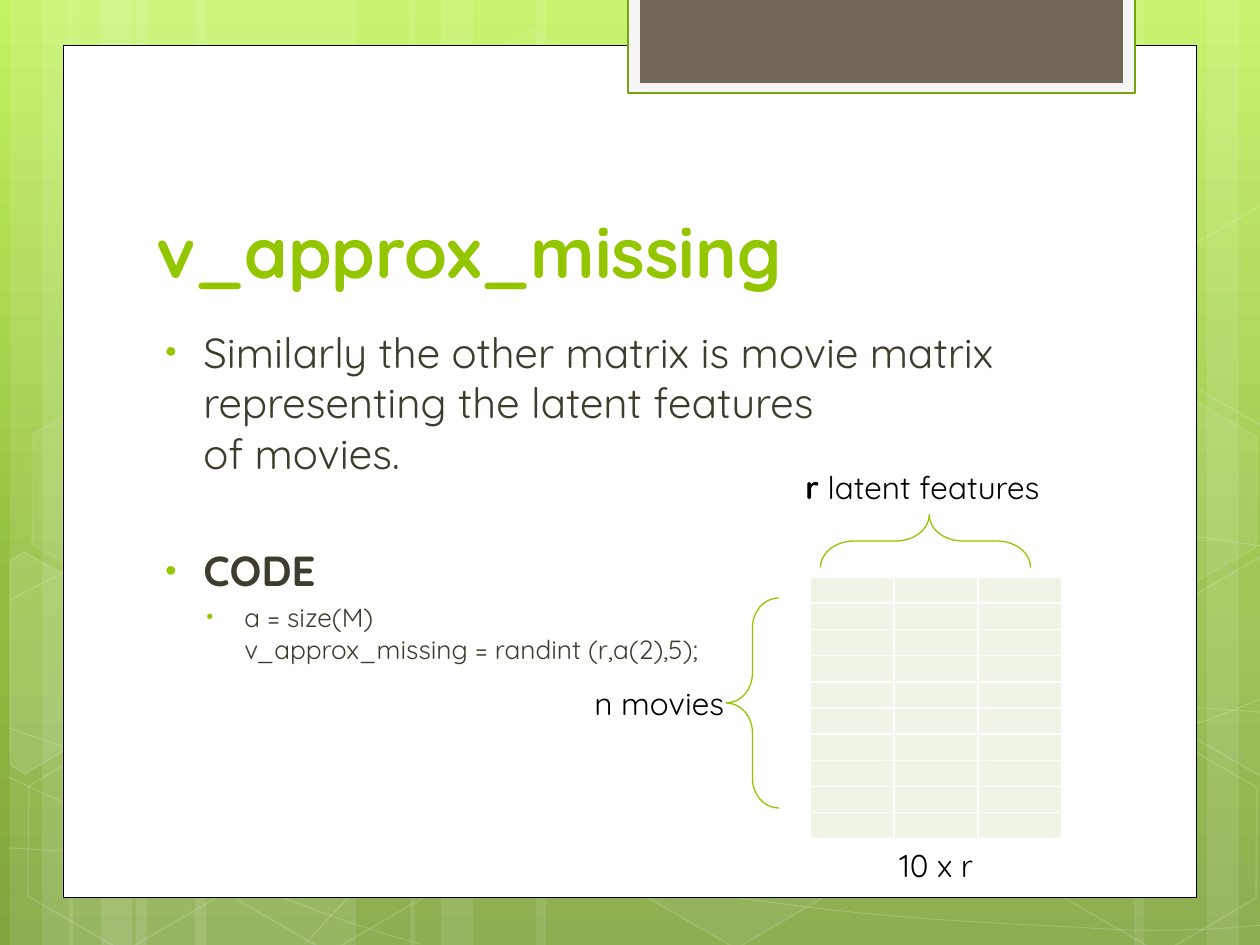
import math

from lxml import etree
from pptx import Presentation
from pptx import util as u
from pptx.dml.color import RGBColor
from pptx.enum import shapes, text
from pptx.oxml.ns import qn

PX = 914400 / 126
WHITE, GREEN, INK, BLACK = "FFFFFF", "94C600", "3E3D2D", "000000"
SHAPE = shapes.MSO_SHAPE


def px(length):
    return u.Emu(round(length * PX))


def color(value):
    return RGBColor.from_string(value)


def add_xml(parent, tag, **attributes):
    return etree.SubElement(parent, qn(tag), attributes)


def paint(fill, value, alpha=100):
    """Fill solidly, alpha being the opacity in percent; None means no fill."""
    if value is None:
        fill.background()
        return
    fill.solid()
    fill.fore_color.rgb = color(value)
    if alpha < 100:
        solid = fill._xPr.find(qn("a:solidFill"))
        add_xml(solid[0], "a:alpha", val=str(alpha * 1000))


def rotate(points, center, degrees):
    cos, sin = math.cos(math.radians(degrees)), math.sin(math.radians(degrees))
    cx, cy = center
    return [(cx + (x - cx) * cos - (y - cy) * sin, cy + (x - cx) * sin + (y - cy) * cos)
            for x, y in points]


def bend(shape):
    """Turn each three line segments of a freeform into one cubic curve."""
    outline = next(shape._element.iter(qn("a:path")))
    lines = outline.findall(qn("a:lnTo"))
    for i in range(0, len(lines), 3):
        curve = add_xml(outline, "a:cubicBezTo")
        for line in lines[i:i + 3]:
            curve.append(line[0])
            outline.remove(line)


class SlideBuilder:
    font = "Quicksand"

    def __init__(self, slide):
        self.slide = slide

    def background(self, stops):
        fill = self.slide.background.fill
        fill.gradient()
        fill.gradient_angle = 270
        stop_list = fill._fill._gradFill.find(qn("a:gsLst"))
        for old in list(stop_list):
            stop_list.remove(old)
        for position, value in stops:
            stop = add_xml(stop_list, "a:gs", pos=str(position * 1000))
            add_xml(stop, "a:srgbClr", val=value)

    def style(self, shape, fill, fill_alpha, line, width, line_alpha):
        shape.shadow.inherit = False
        paint(shape.fill, fill, fill_alpha)
        paint(shape.line.fill, line, line_alpha)
        if line:
            shape.line.width = u.Pt(width)

    def shape(self, kind, box, fill=None, fill_alpha=100, line=None, width=1,
              line_alpha=100, rotation=0, adjust=()):
        shape = self.slide.shapes.add_shape(kind, *map(px, box))
        shape.rotation = rotation
        for i, value in enumerate(adjust):
            shape.adjustments[i] = value
        self.style(shape, fill, fill_alpha, line, width, line_alpha)

    def freeform(self, points, closed):
        tenths = [(x * 10, y * 10) for x, y in points]
        builder = self.slide.shapes.build_freeform(*tenths[0], scale=PX / 10)
        builder.add_line_segments(tenths[1:], close=closed)
        return builder.convert_to_shape()

    def curve(self, points):
        """Draw cubic curves: a start, then three points for each curve."""
        shape = self.freeform(points, closed=False)
        bend(shape)
        self.style(shape, None, 0, WHITE, 0.5, 20)

    def tilted_polygon(self, points, center, fill, fill_alpha):
        shape = self.freeform(rotate(points, center, -30), closed=True)
        shape.rotation = 30
        self.style(shape, fill, fill_alpha, WHITE, 1, 12)

    def text_frame(self, box, wrap=True):
        frame = self.slide.shapes.add_textbox(*map(px, box)).text_frame
        frame.word_wrap = wrap
        return frame

    def run(self, paragraph, words, size, value, bold=False):
        run = paragraph.add_run()
        run.text = words
        run.font.name = self.font
        run.font.size = u.Pt(size)
        run.font.bold = bold
        run.font.color.rgb = color(value)

    def label(self, box, *runs):
        frame = self.text_frame(box, wrap=False)
        frame.auto_size = text.MSO_AUTO_SIZE.SHAPE_TO_FIT_TEXT
        for words, bold in runs:
            self.run(frame.paragraphs[0], words, 18, BLACK, bold)

    def bullet(self, paragraph, lines, size, pitch, before=0, left=47, bold=False):
        paragraph.space_before = u.Pt(before)
        paragraph.line_spacing = u.Pt(pitch)
        properties = paragraph._p.get_or_add_pPr()
        properties.set("marL", str(px(left)))
        properties.set("indent", str(px(-38)))
        add_xml(add_xml(properties, "a:buClr"), "a:srgbClr", val=GREEN)
        add_xml(properties, "a:buSzPct", val="76000")
        add_xml(properties, "a:buFont", typeface="Arial")
        add_xml(properties, "a:buChar", char="•")
        for i, line in enumerate(lines):
            if i:
                paragraph.add_line_break()
            self.run(paragraph, line, size, INK, bold)

    def empty_table(self, rows, columns, box, fill):
        table = self.slide.shapes.add_table(rows, columns, *map(px, box)).table
        table.first_row = table.horz_banding = False
        for cell in table.iter_cells():
            cell.margin_left = cell.margin_right = 0
            cell.margin_top = cell.margin_bottom = 0
            add_xml(cell.text_frame.paragraphs[0]._p, "a:endParaRPr", sz="800")
            properties = cell._tc.get_or_add_tcPr()
            for side in ("a:lnL", "a:lnR", "a:lnT", "a:lnB"):
                border = add_xml(properties, side, w=str(u.Pt(1)))
                add_xml(add_xml(border, "a:solidFill"), "a:srgbClr", val=WHITE)
            paint(cell.fill, fill)


def draw_backdrop(builder):
    builder.background([(0, "C3F35F"), (62, "93BF3F"), (100, "81A53E")])
    stripes = [(136, 220, 0), (10, 63, 0), (42, 105, 0), (195, 220, 0), (69, 63, 0),
               (101, 105, 0), (924, 220, 180), (1207, 63, 180), (1134, 105, 180),
               (536, 388, 0), (410, 63, 0), (441, 105, 0)]
    for left, width, rotation in stripes:
        builder.shape(SHAPE.RECTANGLE, (left, 0, width, 945), WHITE, 10, rotation=rotation)

    curves = [
        [(9, 848), (77, 852), (145, 856), (239, 854), (334, 853), (451, 851), (577, 838),
         (703, 825), (882, 801), (998, 777), (1113, 753), (1231, 716), (1269, 694)],
        [(9, 601), (45, 581), (82, 562), (152, 543), (224, 524), (326, 496), (437, 488),
         (549, 479), (685, 478), (824, 488), (963, 498), (1193, 537), (1269, 547)],
        [(8, 777), (160, 847), (311, 916), (421, 944)],
        [(9, 728), (48, 742), (88, 756), (161, 776), (234, 795), (344, 827), (450, 848),
         (554, 869), (687, 892), (791, 905), (896, 919), (1008, 924), (1075, 927),
         (1140, 932), (1158, 930), (1191, 930), (1223, 929), (1246, 926), (1269, 925)],
        [(305, 944), (328, 919), (350, 893), (381, 871), (411, 848), (454, 823), (489, 805),
         (524, 788), (546, 780), (592, 767), (638, 754), (722, 737), (766, 728),
         (811, 719), (818, 719), (857, 717), (896, 713), (958, 709), (1000, 708),
         (1045, 707), (1116, 708), (1116, 708), (1144, 708), (1172, 708), (1201, 708),
         (1223, 709), (1245, 711), (1256, 712), (1268, 713), (1264, 712), (1268, 713)],
    ]
    for curve in curves:
        builder.curve(curve)

    def hexagons(*rows):
        for left, top, fill_alpha, line_alpha in rows:
            builder.shape(SHAPE.HEXAGON, (left, top, 220, 192), WHITE if fill_alpha else None,
                          fill_alpha, WHITE, 1, line_alpha, rotation=30, adjust=[0.285])

    left_part = [(10, 561), (24, 552), (121, 607), (120, 718), (25, 774), (10, 765)]
    right_part = [(1167, 611), (1261, 556), (1271, 562), (1271, 772), (1263, 777), (1167, 722)]
    upper_part = [(x, y - 351) for x, y in right_part]

    hexagons((421, 45, 4, 8), (626, 742, 6, 12))
    builder.tilted_polygon(left_part, (45, 674), WHITE, 10)
    hexagons((14, 745, 0, 12), (18, 393, 7, 8), (219, 746, 0, 12),
             (949, 571, 10, 12), (1051, 747, 0, 12), (1051, 396, 7, 8))
    builder.tilted_polygon(right_part, (1241, 655), WHITE, 4)
    builder.tilted_polygon(upper_part, (1241, 304), None, 0)

    builder.shape(SHAPE.RECTANGLE, (63, 45, 1134, 853), WHITE, line=BLACK, width=0.5)
    builder.shape(SHAPE.RECTANGLE, (628, -2, 507, 95), "F5F5F5", line="74A510", width=1.25)
    builder.shape(SHAPE.RECTANGLE, (640, -2, 483, 85), "71685A")


def draw_text(builder):
    title = builder.text_frame((144, 141, 968, 158))
    title.vertical_anchor = text.MSO_ANCHOR.BOTTOM
    builder.run(title.paragraphs[0], "v_approx_missing", 40, GREEN, True)

    body = builder.text_frame((144, 320, 934, 484))
    builder.bullet(body.paragraphs[0], ["Similarly the other matrix is movie matrix",
                                        "representing the latent features", "of movies."], 24, 28.8)
    builder.bullet(body.add_paragraph(), ["CODE"], 24, 28.8, before=38.6, bold=True)
    code = body.add_paragraph()
    code.level = 1
    builder.bullet(code, ["a = size(M)", "v_approx_missing = randint (r,a(2),5);"],
                   15, 18.3, before=2.8, left=88)


def draw_matrix(builder):
    builder.empty_table(10, 3, (810, 577, 252, 262), "EEF5E7")
    builder.shape(SHAPE.LEFT_BRACE, (726, 598, 53, 210), line=GREEN, width=0.75,
                  adjust=[0.556, 0.5])
    builder.shape(SHAPE.RIGHT_BRACE, (899, 436, 53, 210), line=GREEN, width=0.75,
                  rotation=270, adjust=[0.629, 0.518])
    builder.label((793, 462, 268, 50), ("r", True), (" latent features", False))
    builder.label((582, 678, 161, 50), ("n movies", False))
    builder.label((887, 840, 103, 50), ("10 x r", False))


def main():
    presentation = Presentation()
    presentation.slide_width, presentation.slide_height = px(1260), px(945)
    builder = SlideBuilder(presentation.slides.add_slide(presentation.slide_layouts[6]))
    draw_backdrop(builder)
    draw_text(builder)
    draw_matrix(builder)
    presentation.save("out.pptx")


if __name__ == "__main__":
    main()
